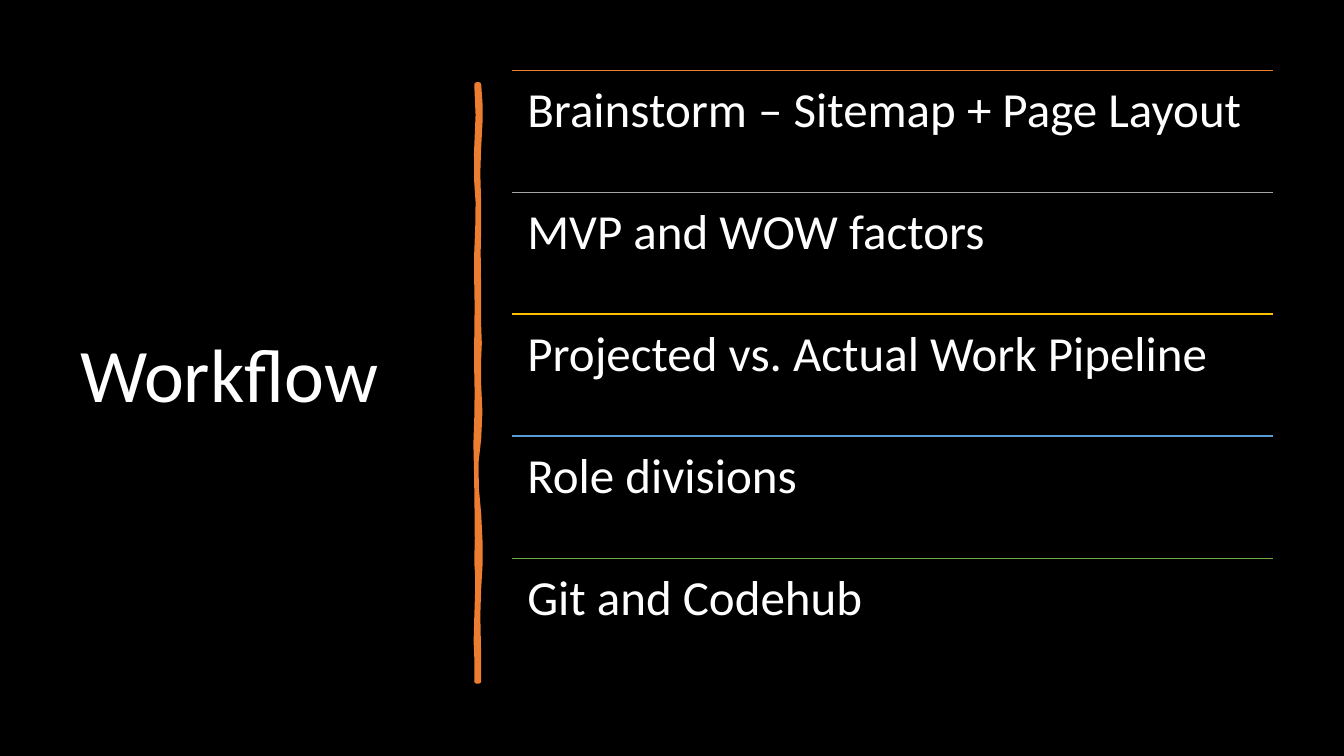
from dataclasses import dataclass

from lxml.etree import SubElement
from pptx import Presentation
from pptx.dml.color import RGBColor
from pptx.enum.shapes import MSO_CONNECTOR as Connector
from pptx.enum.text import MSO_ANCHOR as Anchor
from pptx.oxml.ns import qn
from pptx.slide import Slide
from pptx.util import Cm, Pt

COLORS = {
    "black": "000000", "white": "FFFFFF", "orange": "ED7D31", "gray": "A5A5A5",
    "gold": "FFC000", "blue": "5B9BD5", "green": "70AD47",
}
FONT = "Calibri"
LIST_LEFT, LIST_TOP, LIST_WIDTH, LIST_HEIGHT = 12.91, 1.77, 19.18, 15.37
CURVE_STEPS = 3

Point = tuple[float, float]


@dataclass
class Step:
    text: str
    color: str


@dataclass
class TextStyle:
    size: float
    anchor: Anchor
    inset: Point  # horizontal, vertical


STEPS = [
    Step("Brainstorm – Sitemap + Page Layout", "orange"),
    Step("MVP and WOW factors", "gray"),
    Step("Projected vs. Actual Work Pipeline", "gold"),
    Step("Role divisions", "blue"),
    Step("Git and Codehub", "green"),
]
TITLE_STYLE = TextStyle(54, Anchor.MIDDLE, (0.25, 0.13))
STEP_STYLE = TextStyle(35, Anchor.TOP, (0.38, 0.38))

# Hand-drawn divider: each curve holds two control points and an end point
DIVIDER_START = (12.07, 2.13)
DIVIDER_CURVES = [
    ((12.12, 2.59), (12.12, 3.02), (12.07, 3.71)),
    ((12.01, 4.39), (12.09, 4.95), (12.07, 5.74)),
    ((12.04, 6.53), (12.07, 6.65), (12.07, 7.47)),
    ((12.04, 8.26), (12.12, 8.69), (12.07, 9.04)),
    ((12.01, 9.4), (12.17, 10.52), (12.07, 11.07)),
    ((11.96, 11.61), (11.99, 12.29), (12.07, 12.95)),
    ((12.12, 13.61), (12.12, 14.33), (12.07, 14.83)),
    ((12.01, 15.32), (12.09, 16.51), (12.07, 17.17)),
    ((12.04, 17.17), (12.01, 17.17), (12.01, 17.17)),
    ((12.04, 16.41), (11.96, 16.36), (12.01, 15.57)),
    ((12.04, 14.81), (12.04, 14.48), (12.01, 14.15)),
    ((12.04, 13.82), (12.01, 12.57), (12.01, 12.12)),
    ((12.01, 11.66), (11.96, 11.3), (12.01, 10.54)),
    ((12.04, 9.8), (11.99, 9.47), (12.01, 8.51)),
    ((12.04, 7.57), (11.99, 7.14), (12.01, 6.35)),
    ((12.04, 5.54), (12.07, 5.08), (12.01, 4.6)),
    ((11.94, 4.14), (12.12, 2.64), (12.01, 2.13)),
]


def rgb(name: str) -> RGBColor:
    return RGBColor.from_string(COLORS[name])


def add_text(page: Slide, text: str, left: float, top: float,
             width: float, height: float, style: TextStyle) -> None:
    box = page.shapes.add_textbox(Cm(left), Cm(top), Cm(width), Cm(height))
    frame = box.text_frame
    across, down = (Cm(value) for value in style.inset)
    frame_format = {
        "word_wrap": True, "vertical_anchor": style.anchor,
        "margin_left": across, "margin_right": across,
        "margin_top": down, "margin_bottom": down,
    }
    for name, value in frame_format.items():
        setattr(frame, name, value)
    para = frame.paragraphs[0]
    para.line_spacing = 0.9
    span = para.add_run()
    span.text = text
    for name, value in {"name": FONT, "size": Pt(style.size)}.items():
        setattr(span.font, name, value)
    span.font.color.rgb = rgb("white")


def add_rule(page: Slide, top: float, color: str) -> None:
    rule = page.shapes.add_connector(
        Connector.STRAIGHT, Cm(LIST_LEFT), Cm(top),
        Cm(LIST_LEFT + LIST_WIDTH), Cm(top))
    rule.line.color.rgb = rgb(color)
    rule.line.width = Pt(1)
    SubElement(rule._element.spPr, qn("a:effectLst"))


def curve_points(start: Point, first: Point, second: Point, end: Point) -> list[Point]:
    """Sample a cubic Bezier curve, leaving out its start."""
    points = []
    for step in range(1, CURVE_STEPS + 1):
        t = step / CURVE_STEPS
        weights = ((1 - t) ** 3, 3 * t * (1 - t) ** 2, 3 * t * t * (1 - t), t ** 3)
        x, y = (sum(weight * value for weight, value in zip(weights, axis))
                for axis in zip(start, first, second, end))
        points.append((Cm(x), Cm(y)))
    return points


def add_divider(page: Slide) -> None:
    start = DIVIDER_START
    builder = page.shapes.build_freeform(Cm(start[0]), Cm(start[1]))
    for first, second, end in DIVIDER_CURVES:
        builder.add_line_segments(curve_points(start, first, second, end), close=False)
        start = end
    builder.add_line_segments([], close=True)
    divider = builder.convert_to_shape()
    divider.shadow.inherit = False
    divider.fill.solid()
    divider.fill.fore_color.rgb = rgb("orange")
    divider.line.color.rgb = rgb("orange")
    divider.line.width = Pt(3.25)
    SubElement(divider.line._get_or_add_ln(), qn("a:round"))


def main() -> None:
    deck = Presentation()
    deck.slide_width, deck.slide_height = Cm(33.87), Cm(19.05)
    page = deck.slides.add_slide(deck.slide_layouts[6])
    page.background.fill.solid()
    page.background.fill.fore_color.rgb = rgb("black")

    add_text(page, "Workflow", 1.77, 1.77, 9.5, 15.5, TITLE_STYLE)
    add_divider(page)
    row_height = LIST_HEIGHT / len(STEPS)
    for row, step in enumerate(STEPS):
        top = LIST_TOP + row * row_height
        add_rule(page, top, step.color)
        add_text(page, step.text, LIST_LEFT, top, LIST_WIDTH, row_height, STEP_STYLE)
    deck.save("out.pptx")


if __name__ == "__main__":
    main()
